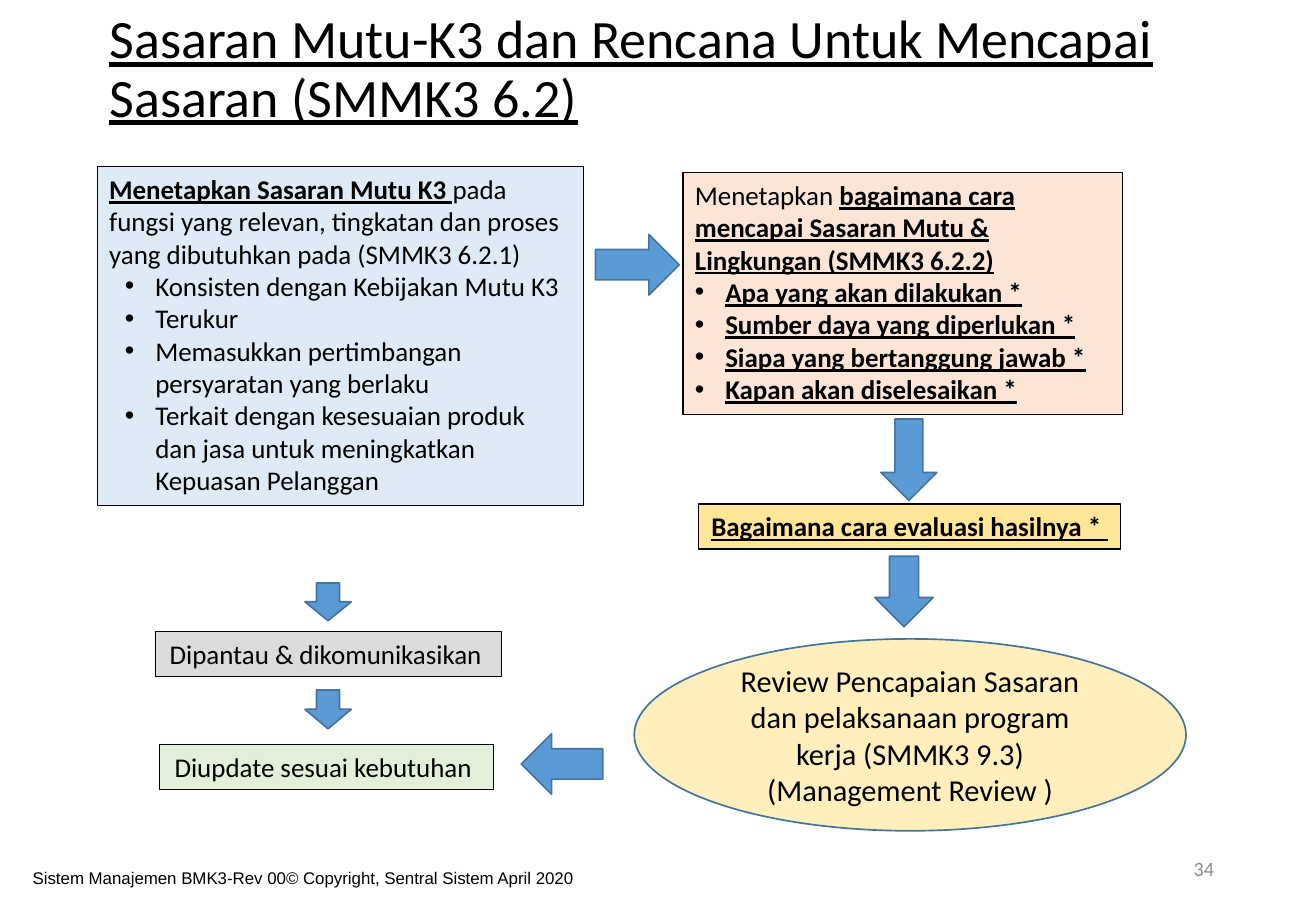
from dataclasses import dataclass

from lxml import etree
from pptx import Presentation
from pptx.dml.color import RGBColor
from pptx.enum.shapes import MSO_SHAPE
from pptx.enum.text import MSO_ANCHOR, MSO_AUTO_SIZE, PP_ALIGN
from pptx.oxml.ns import qn
from pptx.util import Inches, Pt

RECTANGLE, ELLIPSE = MSO_SHAPE.RECTANGLE, MSO_SHAPE.OVAL
RIGHT_ARROW, LEFT_ARROW, DOWN_ARROW = MSO_SHAPE.RIGHT_ARROW, MSO_SHAPE.LEFT_ARROW, MSO_SHAPE.DOWN_ARROW
TOP, MIDDLE = MSO_ANCHOR.TOP, MSO_ANCHOR.MIDDLE
LEFT, CENTER, RIGHT = PP_ALIGN.LEFT, PP_ALIGN.CENTER, PP_ALIGN.RIGHT
GROW, FIXED = MSO_AUTO_SIZE.SHAPE_TO_FIT_TEXT, MSO_AUTO_SIZE.NONE
TITLE_ONLY = 5
BULLET_HANG = 0.25
STRONG = {"bold": True, "underline": True}


@dataclass(frozen=True)
class Theme:
    font: str = "Calibri"
    footer_font: str = "Arial"
    ink: str = "000000"
    muted: str = "8C8C8C"
    arrow: str = "5B9BD5"
    arrow_line: str = "43739E"
    target: str = "DEEBF7"
    method: str = "FBE5D6"
    evaluation: str = "FFE699"
    monitor: str = "DBDBDB"
    update: str = "E2F0D9"
    review: str = "FFEFBD"
    title_size: float = 32
    review_size: float = 18
    body_size: float = 16
    number_size: float = 12
    footer_size: float = 10


class SlideBuilder:
    def __init__(self, deck, theme):
        self.theme = theme
        self.slide = deck.slides.add_slide(deck.slide_layouts[TITLE_ONLY])

    def fill_text(self, frame, paragraphs, size, align=LEFT, anchor=TOP, wrap=True,
                  fit=FIXED, font=None, color=None):
        """Each paragraph is (left margin or None, [(text, format values), ...])."""
        for name, value in {"word_wrap": wrap, "auto_size": fit, "vertical_anchor": anchor}.items():
            setattr(frame, name, value)
        for index, (margin, spans) in enumerate(paragraphs):
            para = frame.add_paragraph() if index else frame.paragraphs[0]
            para.alignment = align
            if margin is not None:
                self.add_bullet(para, margin)
            for text, extra in spans:
                span = para.add_run()
                span.text = text
                values = {"name": font or self.theme.font, "size": Pt(size), **extra}
                for name, value in values.items():
                    setattr(span.font, name, value)
                span.font.color.rgb = RGBColor.from_string(color or self.theme.ink)

    def add_bullet(self, para, margin):
        properties = para._p.get_or_add_pPr()
        properties.set("marL", str(Inches(margin)))
        properties.set("indent", str(-Inches(BULLET_HANG)))
        etree.SubElement(properties, qn("a:buFont")).set("typeface", "Arial")
        etree.SubElement(properties, qn("a:buChar")).set("char", "•")

    def add_title(self, text, bounds):
        title = self.slide.shapes.title
        for name, value in zip(("left", "top", "width", "height"), bounds):
            setattr(title, name, Inches(value))
        self.fill_text(title.text_frame, [(None, [(text, {"underline": True})])],
                       self.theme.title_size, anchor=MIDDLE)
        title.text_frame.paragraphs[0].line_spacing = 0.9

    def add_shape(self, kind, bounds, fill, line, line_width):
        shape = self.slide.shapes.add_shape(kind, *map(Inches, bounds))
        shape.shadow.inherit = False
        shape.fill.solid()
        shape.fill.fore_color.rgb = RGBColor.from_string(fill)
        shape.line.color.rgb = RGBColor.from_string(line)
        shape.line.width = Pt(line_width)
        return shape

    def add_box(self, bounds, fill, paragraphs, **layout):
        box = self.add_shape(RECTANGLE, bounds, fill, self.theme.ink, 0.75)
        self.fill_text(box.text_frame, paragraphs, self.theme.body_size, fit=GROW, **layout)

    def add_arrow(self, kind, bounds):
        self.add_shape(kind, bounds, self.theme.arrow, self.theme.arrow_line, 1)

    def add_ellipse(self, bounds, fill, paragraphs):
        ellipse = self.add_shape(ELLIPSE, bounds, fill, self.theme.arrow_line, 1)
        self.fill_text(ellipse.text_frame, paragraphs, self.theme.review_size,
                       align=CENTER, anchor=MIDDLE)

    def add_text(self, bounds, text, size, **layout):
        box = self.slide.shapes.add_textbox(*map(Inches, bounds))
        self.fill_text(box.text_frame, [(None, [(text, {})])], size, **layout)


def main():
    deck = Presentation()
    deck.slide_width, deck.slide_height = Inches(10.83), Inches(7.5)
    theme = Theme()
    page = SlideBuilder(deck, theme)

    page.add_title("Sasaran Mutu-K3 dan Rencana Untuk Mencapai Sasaran (SMMK3 6.2)",
                   (0.8, 0, 9.31, 1.16))

    target_points = ["Konsisten dengan Kebijakan Mutu K3", "Terukur",
                     "Memasukkan pertimbangan persyaratan yang berlaku",
                     "Terkait dengan kesesuaian produk dan jasa untuk meningkatkan Kepuasan Pelanggan"]
    page.add_box((0.8, 1.37, 4, 2.79), theme.target, [
        (None, [("Menetapkan Sasaran Mutu K3 ", STRONG),
                ("pada fungsi yang relevan, tingkatan dan proses yang dibutuhkan pada (SMMK3 6.2.1)", {})]),
        *((0.38, [(point, {})]) for point in target_points)])

    method_points = ["Apa yang akan dilakukan *", "Sumber daya yang diperlukan *",
                     "Siapa yang bertanggung jawab *", "Kapan akan diselesaikan *"]
    page.add_box((5.62, 1.42, 3.62, 1.99), theme.method, [
        (None, [("Menetapkan ", {}),
                ("bagaimana cara mencapai Sasaran Mutu & Lingkungan (SMMK3 6.2.2)", STRONG)]),
        *((0.25, [(point, STRONG)]) for point in method_points)])

    steps = [
        ((1.28, 5.2, 2.85, 0.37), theme.monitor, "Dipantau & dikomunikasikan ", {}),
        ((1.31, 6.13, 2.75, 0.37), theme.update, "Diupdate sesuai kebutuhan ", {}),
        ((5.75, 4.15, 3.47, 0.37), theme.evaluation, "Bagaimana cara evaluasi hasilnya * ", STRONG),
    ]
    for bounds, fill, text, style in steps:
        page.add_box(bounds, fill, [(None, [(text, style)])], align=CENTER, wrap=False)

    page.add_ellipse((5.22, 5.26, 4.54, 1.58), theme.review, [
        (None, [("Review Pencapaian Sasaran dan pelaksanaan program kerja (SMMK3 9.3)", {})]),
        (None, [("(Management Review )", {})])])

    arrows = [
        (RIGHT_ARROW, (4.9, 1.93, 0.69, 0.5)),
        (DOWN_ARROW, (7.25, 3.45, 0.46, 0.67)),
        (DOWN_ARROW, (7.2, 4.58, 0.48, 0.58)),
        (LEFT_ARROW, (4.29, 6.04, 0.67, 0.5)),
        (DOWN_ARROW, (2.51, 4.8, 0.38, 0.31)),
        (DOWN_ARROW, (2.51, 5.68, 0.38, 0.32)),
    ]
    for kind, bounds in arrows:
        page.add_arrow(kind, bounds)

    page.add_text((7.65, 6.95, 2.44, 0.4), "34", theme.number_size,
                  align=RIGHT, anchor=MIDDLE, color=theme.muted)
    page.add_text((0.17, 7.09, 5.25, 0.4),
                  "Sistem Manajemen BMK3-Rev 00© Copyright, Sentral Sistem April 2020",
                  theme.footer_size, font=theme.footer_font)

    deck.save("out.pptx")


if __name__ == "__main__":
    main()
